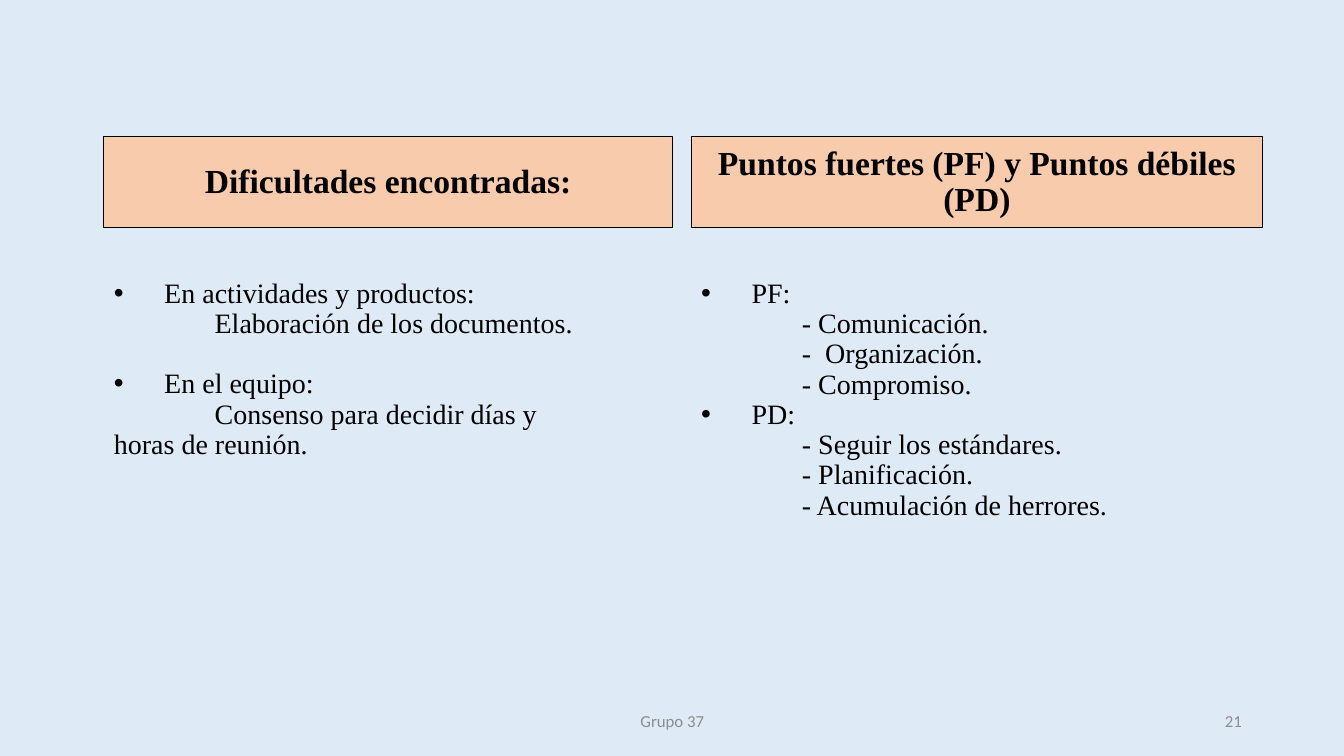
"""Build the slide on difficulties, strengths and weaknesses of the group."""
from dataclasses import dataclass

import lxml.etree
import pptx
import pptx.dml.color
import pptx.enum.shapes
import pptx.enum.text
import pptx.oxml.ns
import pptx.util

Cm = pptx.util.Cm
Pt = pptx.util.Pt
Align = pptx.enum.text.PP_ALIGN
Anchor = pptx.enum.text.MSO_ANCHOR

COLOURS = {"background": "DEEBF7", "heading": "F8CBAD", "ink": "000000", "footer": "8C8C8C"}
SERIF, SANS = "Times New Roman", "Calibri"
HEADING_TOP, HEADING_HEIGHT = 3.45, 2.29
POINTS_TOP, POINTS_HEIGHT = 6.91, 6.83
FOOTER_TOP, FOOTER_HEIGHT = 17.65, 1.02
BULLET_INDENT, DETAIL_INDENT = 1.27, 2.54
TOPIC_GAP = 21.5


@dataclass(frozen=True)
class Topic:
    """A bulleted topic, its details (each a tuple of lines) and the gap above it."""
    label: str
    details: tuple[tuple[str, ...], ...]
    gap: float = 0


@dataclass(frozen=True)
class Column:
    """A heading with its topics; left and width are in centimetres."""
    left: float
    width: float
    heading: str
    topics: tuple[Topic, ...]


@dataclass(frozen=True)
class FooterPart:
    """One footer text; left and width are in centimetres."""
    left: float
    width: float
    text: str
    align: Align


COLUMNS = (
    Column(2.62, 14.33, "Dificultades encontradas:", (
        Topic("En actividades y productos:", (("Elaboración de los documentos.",),)),
        Topic("En el equipo:", (("Consenso para decidir días y", "horas de reunión."),), TOPIC_GAP),
    )),
    Column(17.42, 14.4, "Puntos fuertes (PF) y Puntos débiles (PD)", (
        Topic("PF:", (("- Comunicación.",), ("-  Organización.",), ("- Compromiso.",))),
        Topic("PD:", (("- Seguir los estándares.",), ("- Planificación.",),
                      ("- Acumulación de herrores.",))),
    )),
)
FOOTER = (
    FooterPart(11.23, 11.43, "Grupo 37", Align.CENTER),
    FooterPart(23.93, 7.62, "21", Align.RIGHT),
)


def colour(name: str) -> pptx.dml.color.RGBColor:
    """Return a named colour."""
    return pptx.dml.color.RGBColor.from_string(COLOURS[name])


def add_run(paragraph, text: str, size: float, font: str = SERIF,
            ink: str = "ink", bold: bool = False) -> None:
    """Add one formatted run."""
    run = paragraph.add_run()
    run.text = text
    run.font.size, run.font.name, run.font.bold = Pt(size), font, bold
    run.font.color.rgb = colour(ink)


def set_indent(paragraph, margin: float, first_line: float) -> None:
    """Set the left margin and first-line indent in centimetres."""
    properties = paragraph._p.get_or_add_pPr()
    properties.set("marL", str(Cm(margin)))
    properties.set("indent", str(Cm(first_line)))


def add_bullet(paragraph) -> None:
    """Give a paragraph a round bullet."""
    properties = paragraph._p.get_or_add_pPr()
    for tag, key, value in (("a:buFont", "typeface", "Arial"), ("a:buChar", "char", "•")):
        lxml.etree.SubElement(properties, pptx.oxml.ns.qn(tag)).set(key, value)


def add_heading(slide, column: Column) -> None:
    """Draw the filled heading of a column."""
    heading = slide.shapes.add_shape(
        pptx.enum.shapes.MSO_SHAPE.RECTANGLE, Cm(column.left), Cm(HEADING_TOP),
        Cm(column.width), Cm(HEADING_HEIGHT))
    heading.shadow.inherit = False
    heading.fill.solid()
    heading.fill.fore_color.rgb = colour("heading")
    heading.line.color.rgb = colour("ink")
    heading.line.width = Pt(0.75)
    heading.text_frame.word_wrap = True
    heading.text_frame.vertical_anchor = Anchor.MIDDLE
    paragraph = heading.text_frame.paragraphs[0]
    paragraph.alignment = Align.CENTER
    paragraph.line_spacing = 0.9
    paragraph.space_before = Pt(10)
    add_run(paragraph, column.heading, 24, bold=True)


def add_points(slide, column: Column) -> None:
    """Write the topics of a column with their details."""
    frame = slide.shapes.add_textbox(
        Cm(column.left), Cm(POINTS_TOP), Cm(column.width), Cm(POINTS_HEIGHT)).text_frame
    frame.word_wrap = True
    for position, topic in enumerate(column.topics):
        label = frame.add_paragraph() if position else frame.paragraphs[0]
        label.line_spacing = 0.9
        label.space_before = Pt(topic.gap)
        set_indent(label, BULLET_INDENT, -BULLET_INDENT)
        add_bullet(label)
        add_run(label, topic.label, 20)
        for lines in topic.details:
            detail = frame.add_paragraph()
            detail.line_spacing = 0.9
            set_indent(detail, 0, DETAIL_INDENT)
            for number, line in enumerate(lines):
                if number:
                    detail.add_line_break()
                add_run(detail, line, 20)


def add_footer(slide, part: FooterPart) -> None:
    """Write one footer text."""
    frame = slide.shapes.add_textbox(
        Cm(part.left), Cm(FOOTER_TOP), Cm(part.width), Cm(FOOTER_HEIGHT)).text_frame
    frame.word_wrap = True
    frame.vertical_anchor = Anchor.MIDDLE
    frame.paragraphs[0].alignment = part.align
    add_run(frame.paragraphs[0], part.text, 12, SANS, "footer")


def main() -> None:
    """Build and save the presentation."""
    presentation = pptx.Presentation()
    presentation.slide_width, presentation.slide_height = Cm(33.87), Cm(19.05)
    slide = presentation.slides.add_slide(presentation.slide_layouts[6])
    slide.background.fill.solid()
    slide.background.fill.fore_color.rgb = colour("background")
    for column in COLUMNS:
        add_heading(slide, column)
        add_points(slide, column)
    for part in FOOTER:
        add_footer(slide, part)
    presentation.save("out.pptx")


if __name__ == "__main__":
    main()
